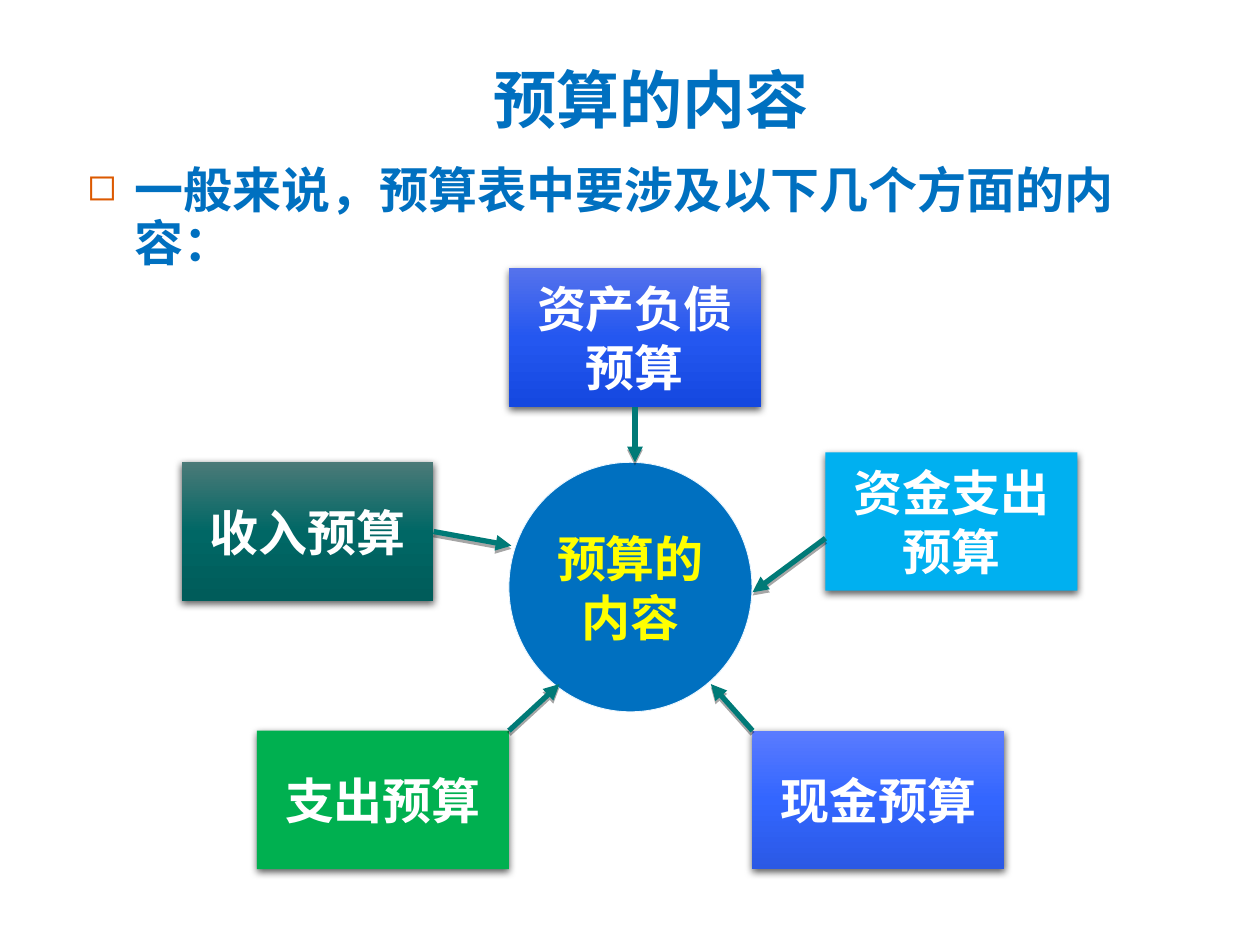
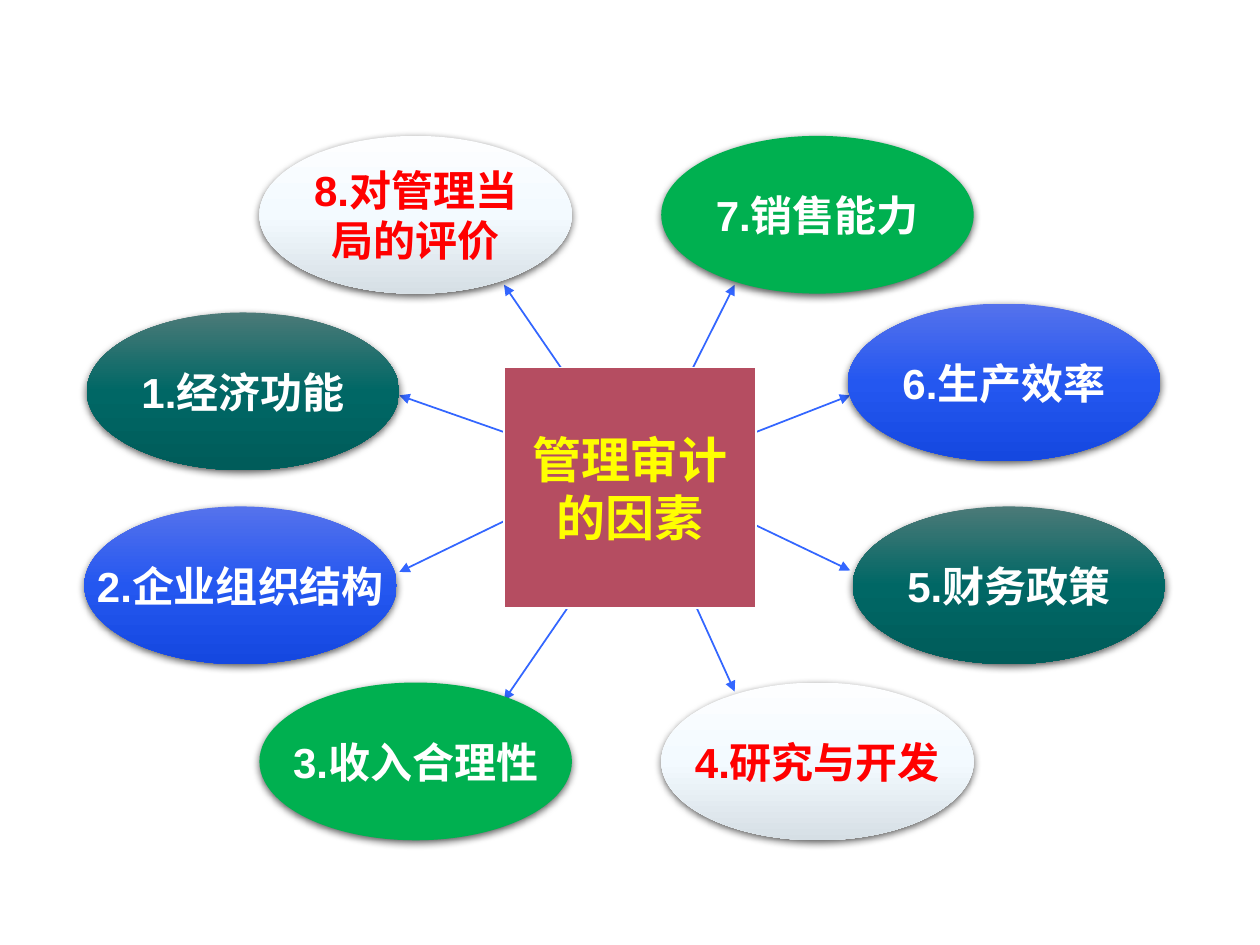
from collections import namedtuple
from copy import deepcopy
from dataclasses import dataclass

from lxml import etree
from pptx import Presentation
from pptx.dml.color import RGBColor
from pptx.enum.shapes import MSO_CONNECTOR, MSO_SHAPE
from pptx.enum.text import MSO_ANCHOR, PP_ALIGN
from pptx.oxml.ns import qn
from pptx.util import Cm, Pt

RECTANGLE, ELLIPSE = MSO_SHAPE.RECTANGLE, MSO_SHAPE.OVAL
STRAIGHT = MSO_CONNECTOR.STRAIGHT
MIDDLE, CENTER = MSO_ANCHOR.MIDDLE, PP_ALIGN.CENTER
BOTTOM_SIDE, RIGHT_SIDE = 2, 3

Box = namedtuple("Box", "left top width height")
Node = namedtuple("Node", "lines fill color left top")
Arrow = namedtuple("Arrow", "begin end")


@dataclass(frozen=True)
class Theme:
    """Colours, fonts and type sizes shared by both slides."""
    blue: str = "0070C0"
    white: str = "FFFFFF"
    yellow: str = "FFFF00"
    red: str = "FF0000"
    green: str = "00B050"
    sky: str = "00B0F0"
    rose: str = "B54D61"
    bullet: str = "DC5900"
    pale_line: str = "EBF7FF"
    thick_arrow: str = "007A77"
    thin_arrow: str = "3366FF"
    royal: tuple = ("5572EC", "2457F0", "1548E0")
    azure: tuple = ("5A7BFF", "3366FF", "2B59E5")
    teal: tuple = ("4B7A78", "006765", "005C5A")
    ice: tuple = ("FDFEFF", "F3FAFF", "D6DFE5")
    latin_font: str = "Arial"
    hub_font: str = "Calibri"
    asian_font: str = "Noto Sans CJK SC"
    title_size: int = 36
    large_size: int = 28
    node_size: int = 24


THEME = Theme()

BUDGET_NODES = {
    "balance": Node(["资产负债", "预算"], THEME.royal, THEME.white, 6.6, 0),
    "expense": Node(["支出预算"], THEME.green, THEME.white, 1.52, 9.32),
    "cash": Node(["现金预算"], THEME.azure, THEME.white, 11.51, 9.32),
    "income": Node(["收入预算"], THEME.teal, THEME.white, 0, 3.91),
    "funds": Node(["资金支出", "预算"], THEME.sky, THEME.white, 12.98, 3.71),
}
BUDGET_ARROWS = {
    "balance": Arrow((9.14, 2.79), (9.14, 3.91)),
    "expense": Arrow((6.6, 9.32), (7.62, 8.38)),
    "cash": Arrow((11.51, 9.32), (10.67, 8.38)),
    "income": Arrow((5.08, 5.3), (6.65, 5.59)),
    "funds": Arrow((12.98, 5.44), (11.51, 6.53)),
}
JOINED_SIDES = {"balance": BOTTOM_SIDE, "income": RIGHT_SIDE}

AUDIT_NODES = [
    Node(["1.经济功能"], THEME.teal, THEME.white, 0.05, 3.56),
    Node(["2.企业组织结构"], THEME.royal, THEME.white, 0, 7.47),
    Node(["3.收入合理性"], THEME.green, THEME.white, 3.53, 11.02),
    Node(["4.研究与开发"], THEME.ice, THEME.red, 11.63, 11.02),
    Node(["5.财务政策"], THEME.teal, THEME.white, 15.49, 7.47),
    Node(["6.生产效率"], THEME.royal, THEME.white, 15.39, 3.38),
    Node(["7.销售能力"], THEME.green, THEME.white, 11.63, 0),
    Node(["8.对管理当", "局的评价"], THEME.ice, THEME.red, 3.53, 0),
]
AUDIT_ARROWS = [
    Arrow((8.46, 5.97), (6.35, 5.23)),
    Arrow((8.66, 7.67), (6.35, 8.79)),
    Arrow((9.73, 9.53), (8.46, 11.38)),
    Arrow((12.27, 9.35), (13.11, 11.2)),
    Arrow((13.54, 7.85), (15.44, 8.76)),
    Arrow((13.54, 5.97), (15.44, 5.23)),
    Arrow((12.27, 4.67), (13.11, 3)),
    Arrow((9.73, 4.85), (8.46, 3)),
]


def rgb(color):
    """Turn a hex string into a colour."""
    return RGBColor.from_string(color)


def apply(target, values):
    """Set every attribute named in the dict."""
    for name, value in values.items():
        setattr(target, name, value)


def inside(box, left, top, width, height):
    """Return a box placed relative to its parent box."""
    return Box(box.left + left, box.top + top, width, height)


def write(paragraph, text, size, color, font):
    """Add one bold run to a paragraph."""
    run = paragraph.add_run()
    run.text = text
    apply(run.font, {"size": Pt(size), "bold": True, "name": font})
    run.font.color.rgb = rgb(color)
    asian = etree.SubElement(run.font._element, qn("a:ea"))
    asian.set("typeface", THEME.asian_font)


def add_effects(element, blur, distance, opacity):
    """Give a shape or connector a soft shadow straight below it."""
    properties = element._element.spPr
    effects = properties.find(qn("a:effectLst"))
    if effects is None:
        effects = etree.SubElement(properties, qn("a:effectLst"))
    shadow = etree.SubElement(effects, qn("a:outerShdw"), {
        "blurRad": str(Pt(blur)), "dist": str(Pt(distance)),
        "dir": "5400000", "rotWithShape": "0"})
    black = etree.SubElement(shadow, qn("a:srgbClr"), val="000000")
    etree.SubElement(black, qn("a:alpha"), val=str(opacity * 1000))


def paint(shape, fill):
    """Fill a shape with one colour or a three-step vertical gradient."""
    if isinstance(fill, str):
        shape.fill.solid()
        shape.fill.fore_color.rgb = rgb(fill)
        return
    shape.fill.gradient()
    shape.fill.gradient_angle = 270
    stop_list = shape._element.spPr.find(".//" + qn("a:gsLst"))
    stop_list.append(deepcopy(stop_list[-1]))
    for stop, color, position in zip(shape.fill.gradient_stops, fill, (0, 0.5, 1)):
        stop.color.rgb = rgb(color)
        stop.position = position


def add_label_shape(slide, kind, box, lines, fill, color, size,
                    font=THEME.latin_font, outline=None):
    """Add a filled shape with centred lines, outlined or with a shadow."""
    shape = slide.shapes.add_shape(kind, *map(Cm, box))
    paint(shape, fill)
    shape.shadow.inherit = False
    if outline:
        line_color, line_width = outline
        shape.line.color.rgb = rgb(line_color)
        shape.line.width = Pt(line_width)
    else:
        shape.line.fill.background()
        add_effects(shape, 4.5, 1.5, 63)
    frame = shape.text_frame
    apply(frame, {"word_wrap": False, "vertical_anchor": MIDDLE})
    for index, text in enumerate(lines):
        paragraph = frame.add_paragraph() if index else frame.paragraphs[0]
        paragraph.alignment = CENTER
        write(paragraph, text, size, color, font)
    return shape


def add_arrow(slide, box, arrow, color, width):
    """Add a straight arrow with both ends relative to the box."""
    ends = [Cm(origin + offset) for point in arrow
            for origin, offset in zip((box.left, box.top), point)]
    connector = slide.shapes.add_connector(STRAIGHT, *ends)
    connector.line.color.rgb = rgb(color)
    connector.line.width = Pt(width)
    etree.SubElement(connector.line._get_or_add_ln(), qn("a:tailEnd"), type="triangle")
    etree.SubElement(connector._element.spPr, qn("a:effectLst"))
    return connector


def add_text(slide, box, text, size, formats, margin, indent):
    """Add a wrapped text box with one indented paragraph."""
    frame = slide.shapes.add_textbox(*map(Cm, box)).text_frame
    frame.word_wrap = True
    paragraph = frame.paragraphs[0]
    apply(paragraph, formats)
    write(paragraph, text, size, THEME.blue, THEME.latin_font)
    properties = paragraph._p.get_or_add_pPr()
    properties.set("marL", str(Cm(margin)))
    properties.set("indent", str(Cm(indent)))
    return properties


def add_heading(slide, box):
    """Add the title and the bulleted introduction."""
    add_text(slide, inside(box, 0.38, 0, 21.23, 1.96), "预算的内容", THEME.title_size,
             {"alignment": CENTER, "level": 1, "space_before": Pt(7.2)}, 2.06, -0.79)
    properties = add_text(
        slide, inside(box, 0, 2.14, 21.21, 2.59),
        "一般来说，预算表中要涉及以下几个方面的内容：", THEME.large_size,
        {"line_spacing": 0.9, "space_before": Pt(5.6)}, 0.97, -0.97)
    bullet_color = etree.SubElement(properties, qn("a:buClr"))
    etree.SubElement(bullet_color, qn("a:srgbClr"), val=THEME.bullet)
    etree.SubElement(properties, qn("a:buSzPct"), val="75000")
    etree.SubElement(properties, qn("a:buChar"), char="◻")


def add_budget_diagram(slide, box):
    """Place five budget boxes pointing at the central circle."""
    add_label_shape(slide, ELLIPSE, inside(box, 6.6, 3.91, 4.9, 5.03), ["预算的", "内容"],
                    THEME.blue, THEME.yellow, THEME.large_size,
                    outline=(THEME.pale_line, 0.5))
    for name, node in BUDGET_NODES.items():
        shape = add_label_shape(slide, RECTANGLE, inside(box, node.left, node.top, 5.08, 2.79),
                                node.lines, node.fill, node.color, THEME.large_size)
        connector = add_arrow(slide, box, BUDGET_ARROWS[name], THEME.thick_arrow, 3)
        add_effects(connector, 0, 1.8, 35)
        if name in JOINED_SIDES:
            connector.begin_connect(shape, JOINED_SIDES[name])


def add_audit_diagram(slide, box):
    """Place eight audit factors around the central square."""
    for arrow in AUDIT_ARROWS:
        add_arrow(slide, box, arrow, THEME.thin_arrow, 1)
    for node in AUDIT_NODES:
        add_label_shape(slide, ELLIPSE, inside(box, node.left, node.top, 6.3, 3.18),
                        node.lines, node.fill, node.color, THEME.node_size)
    add_label_shape(slide, RECTANGLE, inside(box, 8.46, 4.67, 5.08, 4.85),
                    ["管理审计", "的因素"], THEME.rose, THEME.yellow, THEME.large_size,
                    font=THEME.hub_font, outline=(THEME.white, 0.75))


def main():
    """Build both slides and save the presentation."""
    presentation = Presentation()
    apply(presentation, {"slide_width": Cm(25.4), "slide_height": Cm(19.05)})
    blank = presentation.slide_layouts[6]
    budget_slide = presentation.slides.add_slide(blank)
    add_heading(budget_slide, Box(1.5, 1.09, 21.61, 4.73))
    add_budget_diagram(budget_slide, Box(3.66, 5.41, 18.06, 12.11))
    audit_slide = presentation.slides.add_slide(blank)
    add_audit_diagram(audit_slide, Box(1.7, 2.74, 21.79, 14.2))
    presentation.save("out.pptx")


if __name__ == "__main__":
    main()
